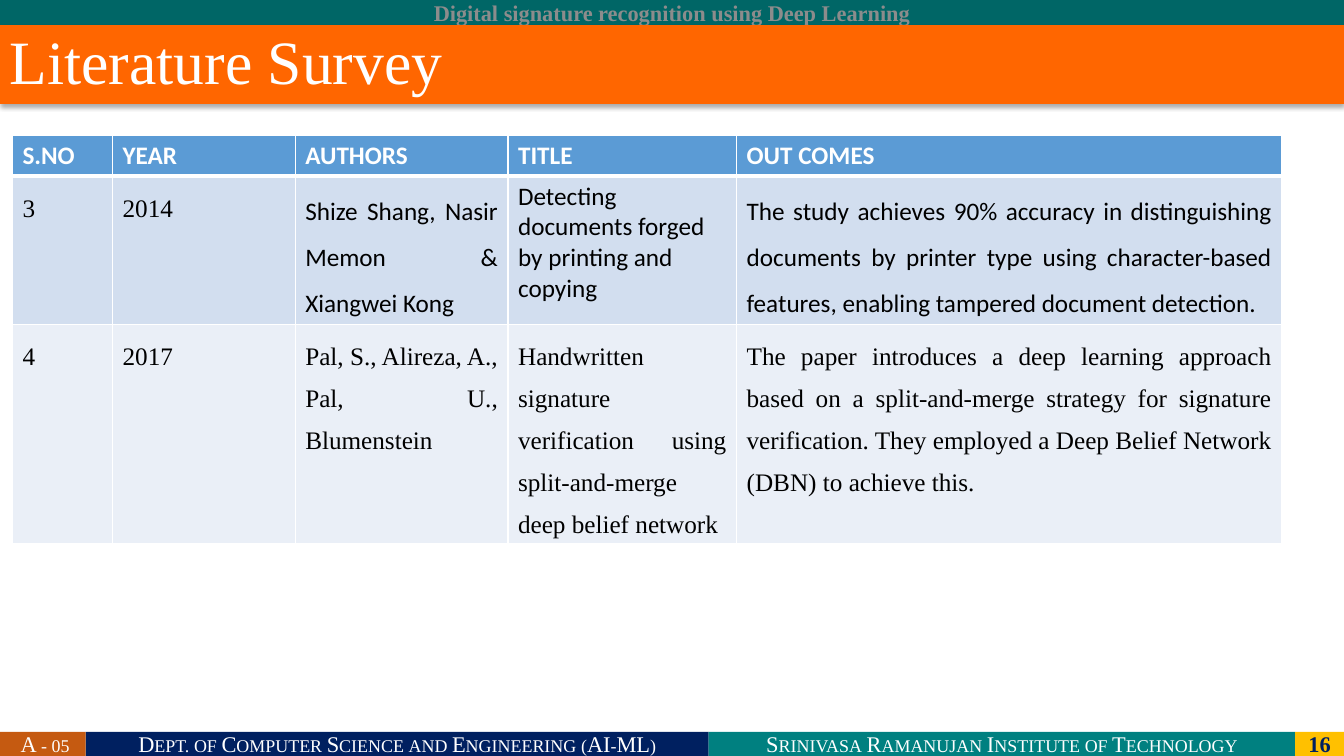
from dataclasses import dataclass

from lxml import etree
from pptx import Presentation
from pptx.dml.color import RGBColor
from pptx.enum import shapes, text
from pptx.oxml import parse_xml
from pptx.oxml.ns import nsdecls, qn
from pptx.util import Pt

COLORS = {
    "white": "FFFFFF", "black": "000000", "navy": "002060", "teal": "008080",
    "dark_teal": "006666", "gold": "FFC000", "brown": "C55A11",
    "orange": "FF6600", "gray": "8C8C8C",
    "head": "5B9BD5", "band_dark": "D2DEEF", "band_light": "EAEFF7",
}
SERIF, SANS = "Times New Roman", "Calibri"
WIDTH, HEIGHT = 960, 540
FOOT_TOP, FOOT_H = 522.7, 17.3


@dataclass
class Bar:
    left: float
    top: float
    width: float
    height: float
    fill: str
    text: str
    color: str = "white"
    size: float = 16
    bold: bool = False
    small_caps: bool = False
    align: text.PP_ALIGN = text.PP_ALIGN.CENTER
    spacing: float = 1.0
    shadow: bool = False


@dataclass
class Entry:
    text: str
    font: str = SERIF
    color: str = "black"
    bold: bool = False
    spaced: bool = True  # justified with 1.5 line spacing


@dataclass
class Row:
    height: float
    fill: str
    entries: list[Entry]
    bottom_line: float = 1


BARS = [
    Bar(61.2, FOOT_TOP, 445, FOOT_H, "navy",
        "Dept. of Computer Science and Engineering (AI-ML)", small_caps=True),
    Bar(506.2, FOOT_TOP, 419, FOOT_H, "teal",
        "Srinivasa Ramanujan Institute of Technology", small_caps=True),
    Bar(925.2, FOOT_TOP, 34.8, FOOT_H, "gold", "16", "navy", bold=True),
    Bar(0, 0, WIDTH, 18, "dark_teal",
        "Digital signature recognition using Deep Learning", "gray", bold=True),
    Bar(0, FOOT_TOP, 61.2, FOOT_H, "brown", " A - 05", small_caps=True),
    Bar(0, 18, WIDTH, 56.2, "orange", "Literature Survey", size=44,
        align=text.PP_ALIGN.JUSTIFY, spacing=0.9, shadow=True),
]

COLUMN_WIDTHS = [71.5, 130.5, 152, 163.3, 389.5]
HEADINGS = ["S.NO", "YEAR", "AUTHORS", "TITLE", "OUT COMES"]
ROWS = [
    Row(29.2, "head",
        [Entry(h, SANS, "white", bold=True, spaced=False) for h in HEADINGS],
        bottom_line=3),
    Row(106, "band_dark", [
        Entry("3"),
        Entry("2014"),
        Entry("Shize Shang, Nasir Memon & Xiangwei Kong", SANS),
        Entry("Detecting documents forged by printing and copying", SANS, spaced=False),
        Entry("The study achieves 90% accuracy in distinguishing documents by "
              "printer type using character-based features, enabling tampered "
              "document detection.", SANS),
    ]),
    Row(156, "band_light", [
        Entry("4"),
        Entry("2017"),
        Entry("Pal, S., Alireza, A., Pal, U., Blumenstein"),
        Entry("Handwritten signature verification using split-and-merge deep "
              "belief network"),
        Entry("The paper introduces a deep learning approach based on a "
              "split-and-merge strategy for signature verification. They employed "
              "a Deep Belief Network (DBN) to achieve this."),
    ]),
]


def rgb(name: str) -> RGBColor:
    return RGBColor.from_string(COLORS[name])


def add_run(p, content: str, font: str, size: float, color: str, bold: bool):
    r = p.add_run()
    r.text = content
    r.font.name, r.font.size, r.font.bold = font, Pt(size), bold
    r.font.color.rgb = rgb(color)
    return r


def add_shadow(sp) -> None:
    """Cast a soft shadow straight down."""
    effects = sp._element.spPr.find(qn("a:effectLst"))
    effects.append(parse_xml(
        f'<a:outerShdw {nsdecls("a")} blurRad="{Pt(3.5)}" dist="{Pt(2.2)}" '
        f'dir="5400000" algn="t" rotWithShape="0"><a:srgbClr val="{COLORS["black"]}">'
        '<a:alpha val="32000"/></a:srgbClr></a:outerShdw>'))


def add_bar(s, bar: Bar) -> None:
    sp = s.shapes.add_shape(shapes.MSO_SHAPE.RECTANGLE, Pt(bar.left), Pt(bar.top),
                            Pt(bar.width), Pt(bar.height))
    sp.fill.solid()
    sp.fill.fore_color.rgb = rgb(bar.fill)
    sp.line.fill.background()
    sp.shadow.inherit = False
    if bar.shadow:
        add_shadow(sp)
    tf = sp.text_frame
    tf.word_wrap = True
    tf.vertical_anchor = text.MSO_ANCHOR.MIDDLE
    p = tf.paragraphs[0]
    p.alignment, p.line_spacing = bar.align, bar.spacing
    r = add_run(p, bar.text, SERIF, bar.size, bar.color, bar.bold)
    if bar.small_caps:
        r.font._element.set("cap", "small")


def add_borders(cell, bottom: float) -> None:
    tc_pr = cell._tc.get_or_add_tcPr()
    for i, (side, width) in enumerate([("L", 1), ("R", 1), ("T", 1), ("B", bottom)]):
        ln = etree.Element(qn(f"a:ln{side}"), w=str(Pt(width)))
        fill = etree.SubElement(ln, qn("a:solidFill"))
        etree.SubElement(fill, qn("a:srgbClr"), val=COLORS["white"])
        tc_pr.insert(i, ln)


def fill_cell(cell, entry: Entry, row: Row) -> None:
    cell.fill.solid()
    cell.fill.fore_color.rgb = rgb(row.fill)
    add_borders(cell, row.bottom_line)
    p = cell.text_frame.paragraphs[0]
    if entry.spaced:
        p.alignment, p.line_spacing = text.PP_ALIGN.JUSTIFY, 1.5
    add_run(p, entry.text, entry.font, 18, entry.color, entry.bold)


def add_survey_table(s) -> None:
    table = s.shapes.add_table(
        len(ROWS), len(COLUMN_WIDTHS), Pt(8.9), Pt(96.5),
        Pt(sum(COLUMN_WIDTHS)), Pt(sum(row.height for row in ROWS))).table
    for column, width in zip(table.columns, COLUMN_WIDTHS):
        column.width = Pt(width)
    for i, row in enumerate(ROWS):
        table.rows[i].height = Pt(row.height)
        for j, entry in enumerate(row.entries):
            fill_cell(table.cell(i, j), entry, row)


def main() -> None:
    prs = Presentation()
    prs.slide_width, prs.slide_height = Pt(WIDTH), Pt(HEIGHT)
    s = prs.slides.add_slide(prs.slide_layouts[6])
    for bar in BARS:
        add_bar(s, bar)
    add_survey_table(s)
    prs.save("out.pptx")


if __name__ == "__main__":
    main()
